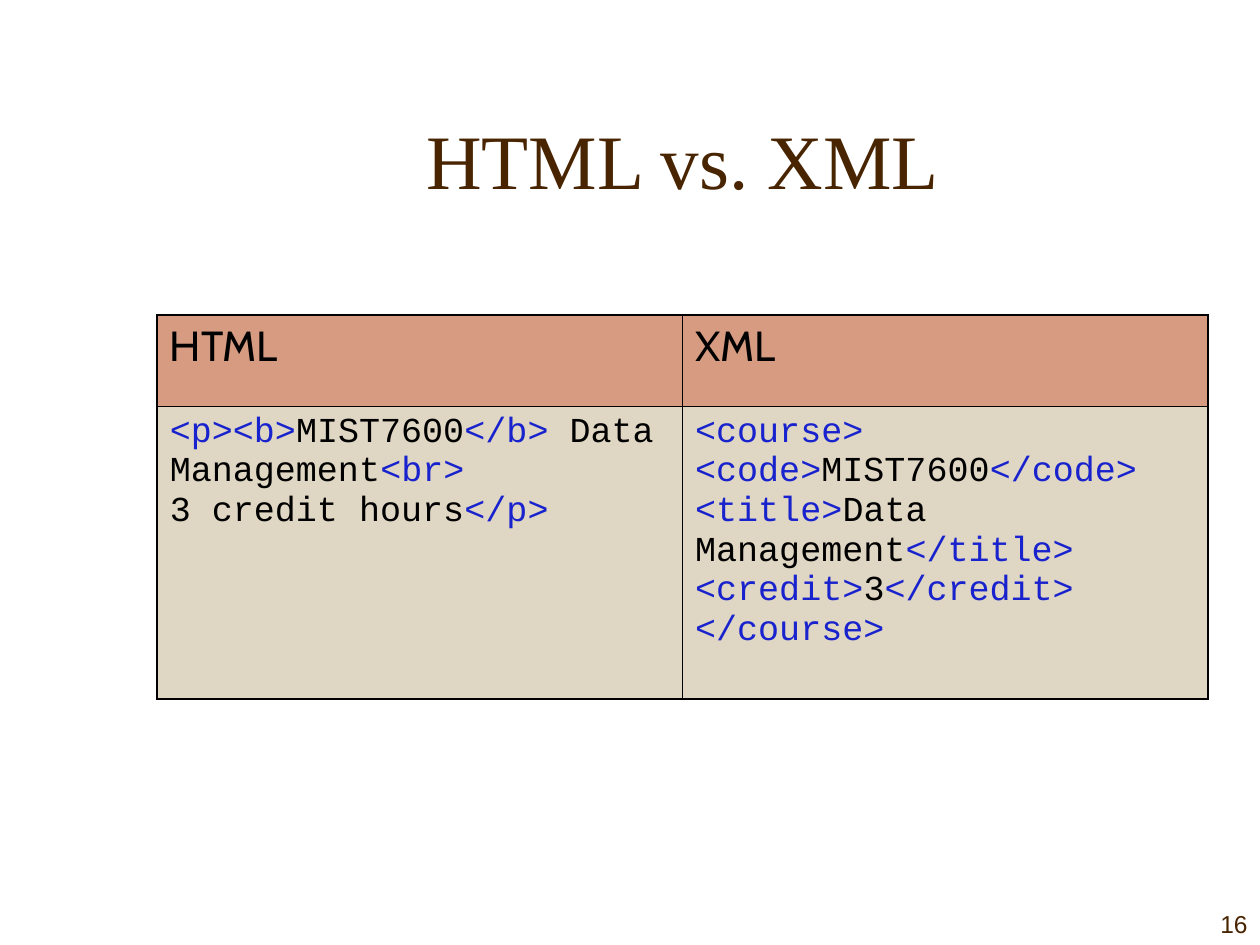
from lxml import etree
from pptx import Presentation
from pptx import util as u
from pptx.dml.color import RGBColor
from pptx.enum import text
from pptx.oxml import ns

COLORS = {
    "brown": "482400",
    "black": "000000",
    "tag": "1822CD",
    "header": "D69B80",
    "body": "DFD6C3",
}
HEADINGS = ["HTML", "XML"]
HTML_CODE = [
    ["<p><b>", "MIST7600", "</b>", " Data Management", "<br>"],
    ["3 credit hours", "</p>"],
]
XML_CODE = [
    ["<course>"],
    ["<code>", "MIST7600", "</code>"],
    ["<title>", "Data Management", "</title>"],
    ["<credit>", "3", "</credit>"],
    ["</course>"],
]
OUTER_LINE, INNER_LINE = 1.08, 0.45


def color(name):
    """Return the named colour as an RGBColor."""
    return RGBColor.from_string(COLORS[name])


def style(paragraph, font_name, size, color_name=None):
    """Set the font of a whole paragraph."""
    font = paragraph.font
    font.name, font.size = font_name, u.Pt(size)
    if color_name:
        font.color.rgb = color(color_name)


def set_borders(cell, widths):
    """Draw black cell borders, with widths in points keyed by side."""
    properties = cell._tc.get_or_add_tcPr()
    for side, width in widths.items():
        line = etree.SubElement(properties, ns.qn(f"a:ln{side}"), w=str(u.Pt(width)))
        fill = etree.SubElement(line, ns.qn("a:solidFill"))
        etree.SubElement(fill, ns.qn("a:srgbClr"), val=COLORS["black"])


def fill_cell(cell, fill_name, lines, font_name, size):
    """Fill a cell with lines of runs, colouring the markup tags."""
    cell.fill.solid()
    cell.fill.fore_color.rgb = color(fill_name)
    frame = cell.text_frame
    for index, pieces in enumerate(lines):
        paragraph = frame.add_paragraph() if index else frame.paragraphs[0]
        style(paragraph, font_name, size)
        for piece in pieces:
            run = paragraph.add_run()
            run.text = piece
            run.font.color.rgb = color("tag" if piece.startswith("<") else "black")


def add_title(slide, wording):
    """Place and format the title placeholder."""
    title = slide.shapes.title
    title.left, title.top = u.Cm(2.97), u.Cm(1.07)
    title.width, title.height = u.Cm(21.59), u.Cm(3.18)
    frame = title.text_frame
    frame.text = wording
    frame.auto_size = text.MSO_AUTO_SIZE.NONE
    frame.vertical_anchor = text.MSO_ANCHOR.BOTTOM
    heading = frame.paragraphs[0]
    heading.alignment = text.PP_ALIGN.CENTER
    style(heading, "Times New Roman", 44, "brown")


def add_comparison(slide):
    """Add the table that sets HTML beside XML."""
    table = slide.shapes.add_table(
        2, 2, u.Cm(3.17), u.Cm(6.35), u.Cm(21.18), u.Cm(7.74)
    ).table
    table.rows[0].height, table.rows[1].height = u.Cm(1.85), u.Cm(5.89)
    for column, (heading, code) in enumerate(zip(HEADINGS, [HTML_CODE, XML_CODE])):
        sides = {
            "L": INNER_LINE if column else OUTER_LINE,
            "R": OUTER_LINE if column else INNER_LINE,
        }
        header, body = table.cell(0, column), table.cell(1, column)
        set_borders(header, {**sides, "T": OUTER_LINE, "B": INNER_LINE})
        set_borders(body, {**sides, "T": INNER_LINE, "B": OUTER_LINE})
        fill_cell(header, "header", [[heading]], "Cabin", 24)
        fill_cell(body, "body", code, "Courier New", 20)


def add_page_number(slide, number):
    """Add the page number in the bottom right corner."""
    frame = slide.shapes.add_textbox(
        u.Cm(22.86), u.Cm(17.78), u.Cm(2.54), u.Cm(1.27)
    ).text_frame
    frame.word_wrap = True
    frame.vertical_anchor = text.MSO_ANCHOR.BOTTOM
    frame.text = number
    page = frame.paragraphs[0]
    page.alignment = text.PP_ALIGN.RIGHT
    style(page, "Arial", 14, "brown")


def main():
    """Build the slide and save it."""
    deck = Presentation()
    deck.slide_width, deck.slide_height = u.Cm(25.4), u.Cm(19.05)
    slide = deck.slides.add_slide(deck.slide_layouts[5])
    add_title(slide, "HTML vs. XML")
    add_comparison(slide)
    add_page_number(slide, "16")
    deck.save("out.pptx")


if __name__ == "__main__":
    main()
